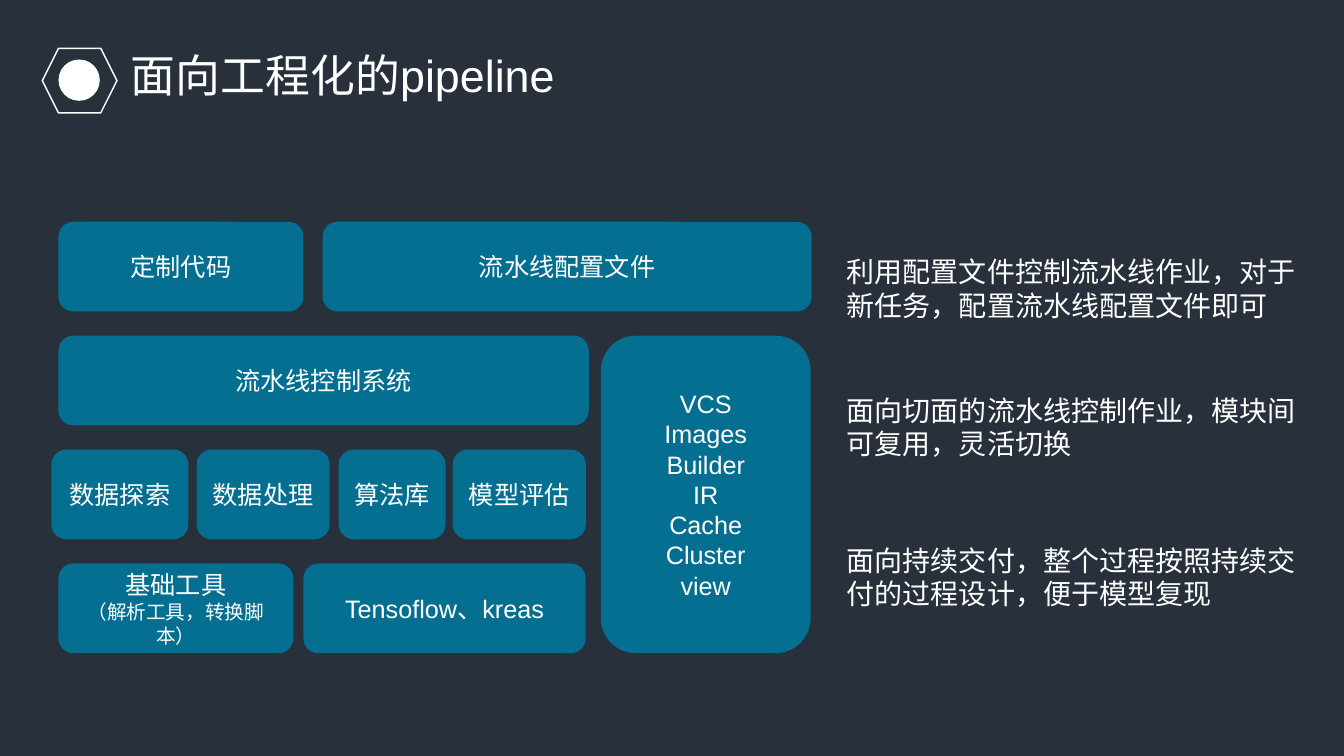
from lxml import etree
from pptx import Presentation
from pptx.dml.color import RGBColor
from pptx.enum.shapes import MSO_SHAPE
from pptx.enum.text import MSO_ANCHOR, MSO_AUTO_SIZE, PP_ALIGN
from pptx.oxml.ns import qn
from pptx.util import Inches, Pt

ROUNDED = MSO_SHAPE.ROUNDED_RECTANGLE
HEXAGON, OVAL = MSO_SHAPE.HEXAGON, MSO_SHAPE.OVAL
MIDDLE = MSO_ANCHOR.MIDDLE
GROW = MSO_AUTO_SIZE.SHAPE_TO_FIT_TEXT
LEFT, CENTER = PP_ALIGN.LEFT, PP_ALIGN.CENTER

COLORS = {"background": "28303C", "block": "056F91", "white": "FFFFFF"}
LATIN, CHINESE = "Arial", "Noto Sans CJK SC"

# Rows of the block diagram, in inches
FIRST_ROW, ROW_STEP, ROW_HEIGHT = 2.2, 1.13, 0.89

# Each block: row, rows spanned, left, width, lines of (text, size)
TOOLS = ["VCS", "Images", "Builder", "IR", "Cache", "Cluster", "view"]
BLOCKS = [
    (0, 1, 0.58, 2.43, [("定制代码", 18)]),
    (0, 1, 3.2, 4.85, [("流水线配置文件", 18)]),
    (1, 1, 0.58, 5.26, [("流水线控制系统", 18)]),
    (2, 1, 0.51, 1.36, [("数据探索", 18)]),
    (2, 1, 1.95, 1.32, [("数据处理", 18)]),
    (2, 1, 3.36, 1.06, [("算法库", 18)]),
    (2, 1, 4.49, 1.32, [("模型评估", 18)]),
    (3, 1, 0.58, 2.33, [("基础工具", 18), ("（解析工具，转换脚本）", 14)]),
    (3, 1, 3.01, 2.8, [("Tensoflow、kreas", 18)]),
    (1, 3, 5.96, 2.08, [(tool, 18) for tool in TOOLS]),
]
NOTES = [
    (2.48, "利用配置文件控制流水线作业，对于新任务，配置流水线配置文件即可"),
    (3.85, "面向切面的流水线控制作业，模块间可复用，灵活切换"),
    (5.34, "面向持续交付，整个过程按照持续交付的过程设计，便于模型复现"),
]


def color(name):
    return RGBColor.from_string(COLORS[name])


def write_lines(frame, lines, font_name, alignment):
    """Write one paragraph per (text, size) pair."""
    frame.word_wrap = True
    for index, (text, size) in enumerate(lines):
        paragraph = frame.paragraphs[0] if index == 0 else frame.add_paragraph()
        paragraph.alignment = alignment
        run = paragraph.add_run()
        run.text = text
        for name, value in {"name": font_name, "size": Pt(size)}.items():
            setattr(run.font, name, value)
        run.font.color.rgb = color("white")
        east_asian = etree.SubElement(run.font._element, qn("a:ea"))
        east_asian.set("typeface", CHINESE)


def add_text(slide, box, text, size, font_name):
    shape = slide.shapes.add_textbox(*map(Inches, box))
    write_lines(shape.text_frame, [(text, size)], font_name, LEFT)
    shape.text_frame.auto_size = GROW


def add_figure(slide, kind, box, fill=None, line=None):
    """Add a preset shape with an optional fill and outline colour."""
    shape = slide.shapes.add_shape(kind, *map(Inches, box))
    shape.shadow.inherit = False
    if fill:
        shape.fill.solid()
        shape.fill.fore_color.rgb = color(fill)
    else:
        shape.fill.background()
    if line:
        shape.line.color.rgb = color(line)
        shape.line.width = Pt(1)
    else:
        shape.line.fill.background()
    return shape


def add_block(slide, row, span, left, width, lines):
    top = FIRST_ROW + row * ROW_STEP
    height = ROW_HEIGHT + (span - 1) * ROW_STEP
    shape = add_figure(slide, ROUNDED, (left, top, width, height), fill="block")
    shape.text_frame.vertical_anchor = MIDDLE
    write_lines(shape.text_frame, lines, LATIN, CENTER)


def main():
    presentation = Presentation()
    presentation.slide_width = Inches(13.33)
    presentation.slide_height = Inches(7.5)
    slide = presentation.slides.add_slide(presentation.slide_layouts[6])
    slide.background.fill.solid()
    slide.background.fill.fore_color.rgb = color("background")

    # Heading with its badge
    add_text(slide, (1.2, 0.42, 4.88, 0.64), "面向工程化的pipeline", 32, LATIN)
    add_figure(slide, HEXAGON, (0.42, 0.48, 0.74, 0.64), line="white")
    add_figure(slide, OVAL, (0.58, 0.59, 0.41, 0.41), fill="white")

    # Block diagram
    for block in BLOCKS:
        add_block(slide, *block)

    # Notes on the right
    for top, text in NOTES:
        add_text(slide, (8.3, top, 4.88, 0.77), text, 20, CHINESE)

    presentation.save("out.pptx")


if __name__ == "__main__":
    main()
